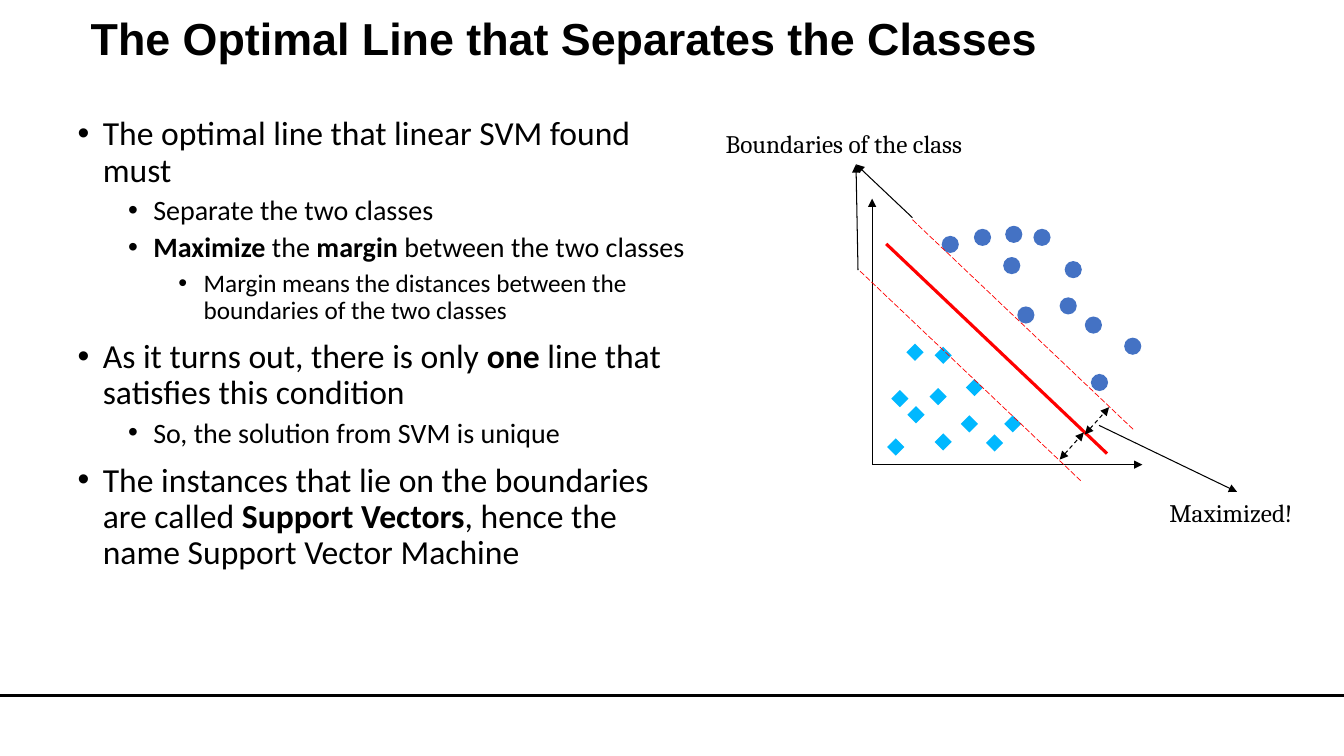
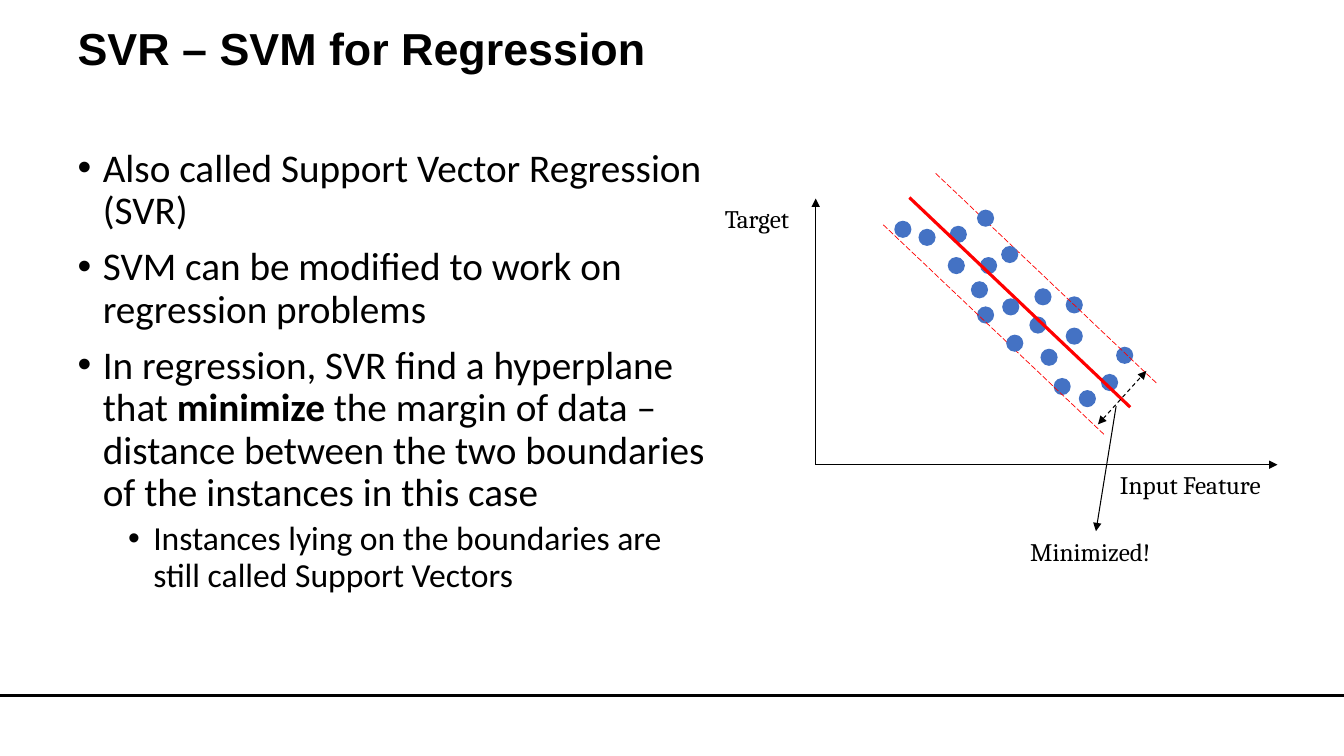
"""Build two slides on support vector machines for classification and regression."""
import pptx
import pptx.util
import pptx.dml.color
import pptx.enum.dml
import pptx.enum.shapes
import pptx.enum.text
import pptx.oxml
import pptx.oxml.ns
from lxml import etree

PX = 9144
BLACK, RED, BLUE, CYAN = "000000", "FF0000", "4472C4", "00B8FF"
TITLE_FONT, BODY_FONT, LABEL_FONT = "Arial", "Calibri", "Cambria"
SLIDE_WIDTH, SLIDE_HEIGHT, FOOTER_Y = 1333, 750, 690
MARKER = 17
MARGIN_SPAN = (219, 208)
BOUNDARY_SHIFTS = [(-26, 27), (26, -24)]
AXIS_BOTTOM, AXIS_TOP = 461, 197

MARKERS = {
    "diamond": (pptx.enum.shapes.MSO_SHAPE.DIAMOND, CYAN),
    "circle": (pptx.enum.shapes.MSO_SHAPE.OVAL, BLUE),
}

DASH = pptx.enum.dml.MSO_LINE.DASH
LONG_DASH = pptx.enum.dml.MSO_LINE.LONG_DASH
LINES = {
    "footer": dict(color=BLACK, width=2),
    "separator": dict(color=RED, width=2.25),
    "boundary": dict(color=RED, width=0.5, dash=LONG_DASH),
    "arrow": dict(color=BLACK, width=0.75, ends=["tailEnd"]),
    "margin": dict(color=BLACK, width=0.75, dash=DASH, ends=["headEnd", "tailEnd"]),
}

SLIDES = [
    {
        "title": ("The Optimal Line that Separates the Classes", (80, 12, 1150, 73)),
        "body_box": (67, 111, 622, 494),
        "level_sizes": [24, 20, 18],
        "bullets": [
            (0, "The optimal line that linear SVM found must"),
            (1, "Separate the two classes"),
            (1, "**Maximize** the **margin** between the two classes"),
            (2, "Margin means the distances between the boundaries of the two classes"),
            (0, "As it turns out, there is only **one **line that satisfies this condition"),
            (1, "So, the solution from SVM is unique"),
            (0, "The instances that lie on the boundaries are called **Support Vectors**, "
                "hence the name Support Vector Machine"),
        ],
        "points_behind": {
            "diamond": [(884, 387), (900, 403), (922, 385), (953, 412), (958, 376), (899, 341),
                        (880, 435), (927, 430), (996, 412), (927, 344), (978, 431)],
            "circle": [(966, 227), (1009, 304), (995, 255), (1051, 295), (1056, 259), (997, 224),
                       (1082, 371), (934, 234), (1115, 335), (1025, 227), (1076, 314)],
        },
        "separator_start": (879, 242),
        "axes": (865, 1133),
        "pointers": [
            ("margin", (1051, 456), (1075, 429)),
            ("margin", (1076, 431), (1100, 404)),
            ("arrow", (1090, 422), (1227, 488)),
            ("arrow", (905, 216), (849, 163)),
            ("arrow", (851, 268), (849, 163)),
        ],
        "labels": [
            ("Maximized!", (1150, 488, 154, 40)),
            ("Boundaries of the class", (710, 122, 276, 40)),
        ],
        "points_in_front": {},
    },
    {
        "title": ("SVR – SVM for Regression", (67, 22, 1199, 100)),
        "body_box": (67, 142, 648, 494),
        "level_sizes": [28, 24],
        "bullets": [
            (0, "Also called Support Vector Regression (SVR)"),
            (0, "SVM can be modified to work on regression problems"),
            (0, "In regression, SVR find a hyperplane that **minimize** the margin of data – "
                "distance between the two boundaries of the instances in this case"),
            (1, "Instances lying on the boundaries are still called Support Vectors"),
        ],
        "points_behind": {
            "circle": [(911, 227), (969, 304), (940, 255), (1057, 294), (1092, 371), (942, 224),
                       (1045, 375), (887, 219), (1107, 344), (972, 255), (1021, 314)],
        },
        "separator_start": (902, 196),
        "axes": (809, 1267),
        "pointers": [
            ("margin", (1089, 421), (1137, 368)),
            ("arrow", (1107, 403), (1087, 527)),
        ],
        "labels": [
            ("Minimized!", (1012, 527, 150, 40)),
            ("Input Feature", (1101, 461, 173, 40)),
            ("Target", (709, 197, 91, 40)),
        ],
        "points_in_front": {
            "circle": [(963, 279), (969, 208), (994, 296), (1026, 286), (998, 332),
                       (1032, 346), (993, 244), (1057, 325), (1070, 387)],
        },
    },
]


def rgb(hex_color):
    return pptx.dml.color.RGBColor.from_string(hex_color)


def emu(*lengths):
    return [length * PX for length in lengths]


def style_font(font, name, size):
    font.name = name
    font.size = pptx.util.Pt(size)
    font.color.rgb = rgb(BLACK)


def place(placeholder, box):
    placeholder.left, placeholder.top, placeholder.width, placeholder.height = emu(*box)
    frame = placeholder.text_frame
    frame.word_wrap = True
    frame.auto_size = pptx.enum.text.MSO_AUTO_SIZE.NONE
    frame.vertical_anchor = pptx.enum.text.MSO_ANCHOR.TOP
    return frame


def add_title(slide, wording, box):
    heading = place(slide.shapes.title, box).paragraphs[0]
    heading.text = wording
    heading.alignment = pptx.enum.text.PP_ALIGN.LEFT
    heading.line_spacing = 0.9
    style_font(heading.font, TITLE_FONT, 32)
    heading.font.bold = True


def add_bullets(slide, bullets, box, level_sizes):
    frame = place(slide.placeholders[1], box)
    for index, (level, wording) in enumerate(bullets):
        bullet = frame.add_paragraph() if index else frame.paragraphs[0]
        bullet.level = level
        bullet.line_spacing = 0.9
        bullet.space_before = pptx.util.Pt(5 if level else 10)
        style_font(bullet.font, BODY_FONT, level_sizes[level])
        for part, phrase in enumerate(wording.split("**")):
            if phrase:
                run = bullet.add_run()
                run.text = phrase
                if part % 2:
                    run.font.bold = True
        properties = bullet._p.get_or_add_pPr()
        properties.set("marL", str(25 * PX + 50 * PX * level))
        properties.set("indent", str(-25 * PX))
        mark = pptx.oxml.parse_xml(
            f'<a:buChar {pptx.oxml.ns.nsdecls("a")} char="•"/>')
        properties.find(pptx.oxml.ns.qn("a:defRPr")).addprevious(mark)


def add_line(slide, kind, start, end):
    style = LINES[kind]
    connector = slide.shapes.add_connector(
        pptx.enum.shapes.MSO_CONNECTOR.STRAIGHT, *emu(*start, *end))
    connector.line.color.rgb = rgb(style["color"])
    connector.line.width = pptx.util.Pt(style["width"])
    if "dash" in style:
        connector.line.dash_style = style["dash"]
    outline = connector.line._get_or_add_ln()
    for tip in style.get("ends", []):
        etree.SubElement(outline, pptx.oxml.ns.qn(f"a:{tip}"), type="triangle")
    etree.SubElement(connector.element.spPr, pptx.oxml.ns.qn("a:effectLst"))
    return connector


def add_points(slide, groups):
    for kind, corners in groups.items():
        outline, color = MARKERS[kind]
        for corner in corners:
            point = slide.shapes.add_shape(outline, *emu(*corner, MARKER, MARKER))
            point.shadow.inherit = False
            point.fill.solid()
            point.fill.fore_color.rgb = rgb(color)
            point.line.fill.background()


def add_label(slide, wording, box):
    frame = slide.shapes.add_textbox(*emu(*box)).text_frame
    frame.word_wrap = False
    frame.auto_size = pptx.enum.text.MSO_AUTO_SIZE.SHAPE_TO_FIT_TEXT
    frame.text = wording
    style_font(frame.paragraphs[0].font, LABEL_FONT, 18)


def shifted(point, offset):
    return point[0] + offset[0], point[1] + offset[1]


def add_diagram(slide, content):
    add_points(slide, content["points_behind"])
    start = content["separator_start"]
    end = shifted(start, MARGIN_SPAN)
    add_line(slide, "separator", start, end)
    axis_left, axis_right = content["axes"]
    origin = (axis_left, AXIS_BOTTOM)
    for axis_end in [(axis_right, AXIS_BOTTOM), (axis_left, AXIS_TOP)]:
        add_line(slide, "arrow", origin, axis_end)
    for shift in BOUNDARY_SHIFTS:
        add_line(slide, "boundary", shifted(start, shift), shifted(end, shift))
    for pointer in content["pointers"]:
        add_line(slide, *pointer)
    for label in content["labels"]:
        add_label(slide, *label)
    add_points(slide, content["points_in_front"])


def main():
    deck = pptx.Presentation()
    deck.slide_width, deck.slide_height = emu(SLIDE_WIDTH, SLIDE_HEIGHT)
    layout = deck.slide_layouts[1]
    slides = [deck.slides.add_slide(layout) for _ in SLIDES]
    footer = add_line(slides[0], "footer", (0, FOOTER_Y), (SLIDE_WIDTH, FOOTER_Y))
    deck.slide_master.shapes.element.append(footer.element)
    for slide, content in zip(slides, SLIDES):
        add_title(slide, *content["title"])
        add_bullets(slide, content["bullets"], content["body_box"], content["level_sizes"])
        add_diagram(slide, content)
    deck.save("out.pptx")


if __name__ == "__main__":
    main()
